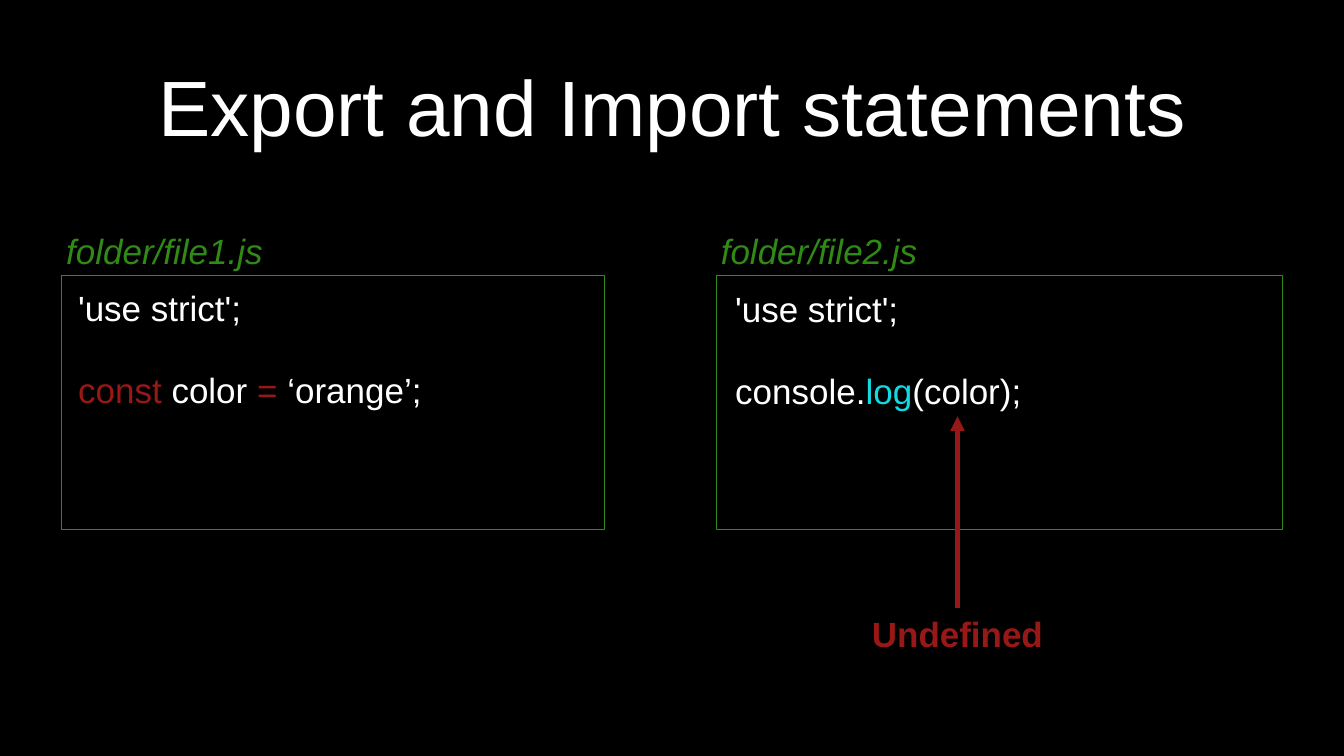
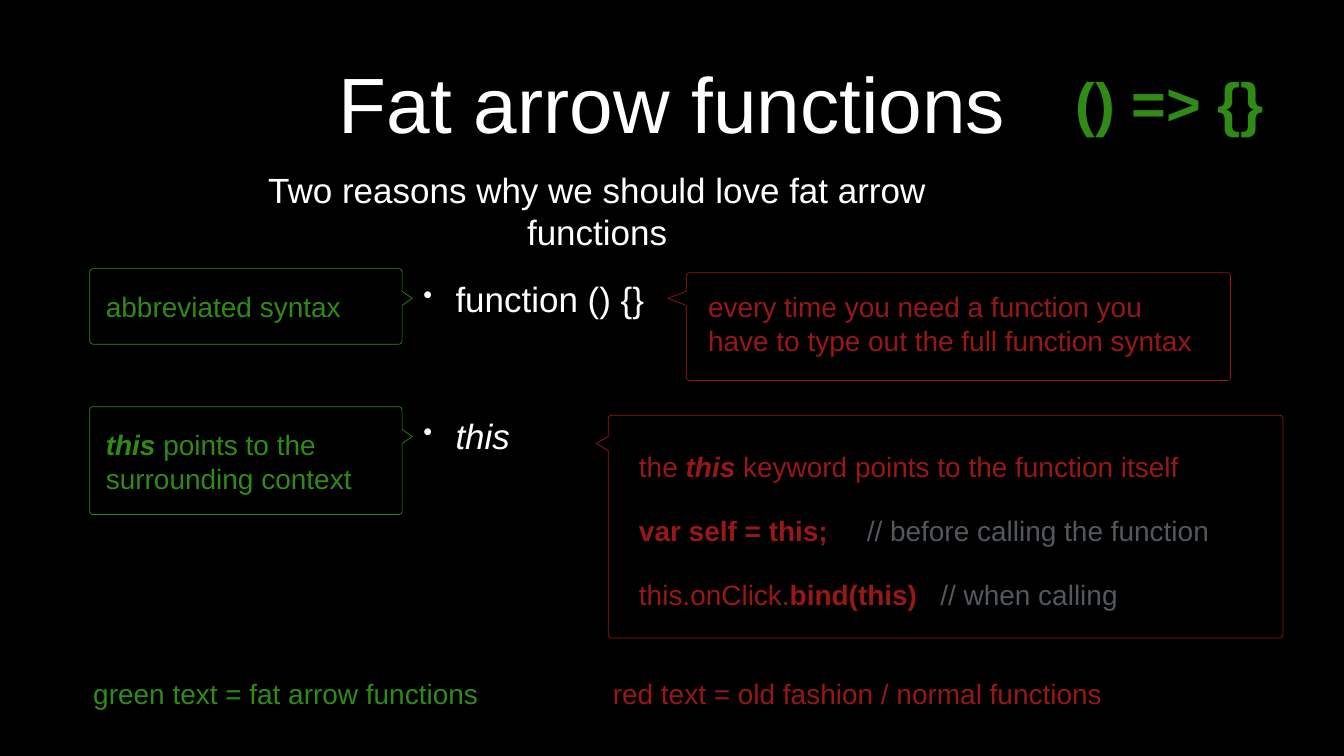
from math import cos, pi, sin

from lxml import etree
from pptx import Presentation
from pptx.dml.color import RGBColor
from pptx.enum.shapes import MSO_CONNECTOR as Connector, MSO_SHAPE as Preset
from pptx.enum.text import MSO_ANCHOR as Anchor, PP_ALIGN as Align
from pptx.oxml.ns import qn
from pptx.util import Inches, Pt

BLACK = RGBColor(0x00, 0x00, 0x00)
WHITE = RGBColor(0xFF, 0xFF, 0xFF)
GREEN = RGBColor(0x30, 0x8B, 0x16)
RED = RGBColor(0x97, 0x18, 0x17)
CYAN = RGBColor(0x11, 0xDB, 0xE2)
GRAY = RGBColor(0x53, 0x58, 0x5F)

FONT = "Arial"
TITLE, LARGE, SMALL = 112, 50, 40
INSET = 0.08
BOLD = {"bold": True}
ITALIC = {"italic": True}
BOLD_ITALIC = {"bold": True, "italic": True}
CORNER = 0.07
TIP_HALF = 0.14
BLANK_LINE = Pt(57.5)


# ---- shared parts ----

def add_slide(presentation):
    slide = presentation.slides.add_slide(presentation.slide_layouts[6])
    fill = slide.background.fill
    fill.solid()
    fill.fore_color.rgb = BLACK
    return slide


def add_text(slide, box, paragraphs, size, color=WHITE, align=Align.LEFT,
             wrap=True, left_inset=INSET, right_inset=INSET):
    """Each paragraph is a list of (text, color or None, font attributes)."""
    shape = slide.shapes.add_textbox(*map(Inches, box))
    frame = shape.text_frame
    settings = {
        "word_wrap": wrap, "vertical_anchor": Anchor.MIDDLE,
        "margin_left": Inches(left_inset), "margin_right": Inches(right_inset),
        "margin_top": Inches(INSET), "margin_bottom": Inches(INSET),
    }
    for name, value in settings.items():
        setattr(frame, name, value)
    for index, runs in enumerate(paragraphs):
        paragraph = frame.add_paragraph() if index else frame.paragraphs[0]
        paragraph.alignment = align
        if index:
            paragraph.space_before = BLANK_LINE
        for text, run_color, attributes in runs:
            run = paragraph.add_run()
            run.text = text
            values = {"name": FONT, "size": Pt(size), **attributes}
            for name, value in values.items():
                setattr(run.font, name, value)
            run.font.color.rgb = run_color or color
    return shape


def add_line_of_text(slide, box, text, size, color=WHITE, attributes=None, **layout):
    runs = [(text, color, attributes or {})]
    return add_text(slide, box, [runs], size, **layout)


def add_title(slide, box, text):
    add_line_of_text(slide, box, text, TITLE, align=Align.CENTER)


def style_outline(shape, color):
    shape.shadow.inherit = False
    shape.fill.solid()
    shape.fill.fore_color.rgb = BLACK
    shape.line.color.rgb = color
    shape.line.width = Pt(1)


# ---- export and import slide ----

def add_code_panel(slide, left, top, width, height, file_name, code, code_offset):
    panel = slide.shapes.add_shape(
        Preset.RECTANGLE, *map(Inches, (left, top, width, height)))
    style_outline(panel, GREEN)
    add_line_of_text(slide, (left - 0.01, top - 1, 4.11, 0.99), file_name, LARGE,
                     GREEN, ITALIC, align=Align.CENTER, wrap=False)
    inset_x, inset_y = code_offset
    code_box = (left + inset_x, top + inset_y, width - 2 * inset_x, 2.66)
    add_text(slide, code_box, code, LARGE)


def add_error_arrow(slide, x, top, bottom, label):
    arrow = slide.shapes.add_connector(
        Connector.STRAIGHT, *map(Inches, (x, bottom, x, top)))
    arrow.line.color.rgb = RED
    arrow.line.width = Pt(7)
    line = arrow.line._get_or_add_ln()
    etree.SubElement(line, qn("a:tailEnd"), type="triangle")
    etree.SubElement(arrow._element.spPr, qn("a:effectLst"))
    add_line_of_text(slide, (x - 1.78, bottom, 3.56, 0.99), label, LARGE, RED, BOLD,
                     align=Align.CENTER, wrap=False)


def build_export_slide(presentation):
    slide = add_slide(presentation)
    add_title(slide, (2.88, 0.42, 20.91, 3.32), "Export and Import statements")
    strict = [("'use strict';", None, {})]
    constant = [("const", RED, {}), (" color ", None, {}),
                ("=", RED, {}), (" ‘orange’;", None, {})]
    log = [("console.", None, {}), ("log", CYAN, {}), ("(color);", None, {})]
    add_code_panel(slide, 1.22, 5.47, 10.78, 5.04, "folder/file1.js",
                   [strict, constant], (0.25, 0.12))
    add_code_panel(slide, 14.21, 5.47, 11.23, 5.04, "folder/file2.js",
                   [strict, log], (0.3, 0.14))
    add_error_arrow(slide, 19, 8.26, 12.07, "Undefined")


# ---- fat arrow slide ----

def add_callout(slide, left, top, width, height, color, tip):
    """Rounded box with a pointer; tip is its (x, y) relative to the box."""
    right, bottom = left + width, top + height
    corners = [(left + CORNER, top + CORNER, 180), (right - CORNER, top + CORNER, 270),
               (right - CORNER, bottom - CORNER, 0), (left + CORNER, bottom - CORNER, 90)]
    arcs = [[(x + CORNER * cos(angle * pi / 180), y + CORNER * sin(angle * pi / 180))
             for angle in range(start, start + 91, 15)]
            for x, y, start in corners]
    tip_x, tip_y = left + tip[0], top + tip[1]
    if tip[0] > 0:
        arcs.insert(2, [(right, tip_y - TIP_HALF), (tip_x, tip_y),
                        (right, tip_y + TIP_HALF)])
    else:
        arcs.append([(left, tip_y + TIP_HALF), (tip_x, tip_y),
                     (left, tip_y - TIP_HALF)])
    points = [(Inches(x), Inches(y)) for arc in arcs for x, y in arc]
    builder = slide.shapes.build_freeform(*points[0])
    builder.add_line_segments(points[1:], close=True)
    style_outline(builder.convert_to_shape(), color)


def add_bullet(slide, left, top, text, attributes):
    shape = add_line_of_text(slide, (left, top, 5.43, 0.99), text, LARGE,
                             attributes=attributes)
    properties = shape.text_frame.paragraphs[0]._p.get_or_add_pPr()
    indent = Inches(0.64)
    properties.set("marL", str(indent))
    properties.set("indent", str(-indent))
    etree.SubElement(properties, qn("a:buSzPct"), val="75000")
    etree.SubElement(properties, qn("a:buChar"), char="•")


def add_commented_code(slide, box, code, comment, comment_offset):
    runs = code + [("\t" + comment, GRAY, {})]
    shape = add_text(slide, box, [runs], SMALL, RED)
    properties = shape.text_frame.paragraphs[0]._p.get_or_add_pPr()
    tabs = etree.SubElement(properties, qn("a:tabLst"))
    etree.SubElement(tabs, qn("a:tab"), pos=str(Inches(comment_offset)), algn="l")


def add_benefit(slide, left, top, height, text_height, runs):
    add_callout(slide, left, top, 6.2, height, GREEN, (6.4, 0.59))
    add_text(slide, (left + 0.24, top + 0.34, 5.5, text_height), [runs], SMALL, GREEN)


def add_syntax_drawback(slide, left, top):
    add_callout(slide, left, top, 10.8, 2.14, RED, (-0.36, 0.51))
    add_line_of_text(
        slide, (left + 0.35, top + 0.26, 9.78, 1.49),
        "every time you need a function you have to type out the full function syntax",
        SMALL, RED)


def add_this_drawback(slide, left, top):
    add_callout(slide, left, top, 13.39, 4.42, RED, (-0.24, 0.56))
    text_left = left + 0.53
    keyword = [("the ", None, {}), ("this", None, BOLD_ITALIC),
               (" keyword points to the function itself", None, {})]
    add_text(slide, (text_left, top + 0.61, 11.15, 0.82), [keyword], SMALL, RED)
    add_commented_code(slide, (text_left, top + 1.87, 11.71, 0.82),
                       [("var self = this;", None, BOLD)],
                       "// before calling the function", 4.52)
    add_commented_code(slide, (text_left, top + 3.14, 12.67, 0.82),
                       [("this.onClick.", None, {}), ("bind(this)", None, BOLD)],
                       "// when calling", 5.98)


def add_legend(slide, top):
    add_line_of_text(slide, (1.77, top, 8.36, 0.82),
                     "green text = fat arrow functions", SMALL, GREEN)
    add_line_of_text(slide, (12.08, top, 10.61, 0.82),
                     "red text = old fashion / normal functions", SMALL, RED)


def build_fat_arrow_slide(presentation):
    slide = add_slide(presentation)
    # Heading
    add_title(slide, (4.8, 0.37, 17.07, 3.32), "Fat arrow functions")
    add_line_of_text(slide, (20.46, 1.23, 5.5, 1.57), "() => {}", 85, GREEN, BOLD,
                     align=Align.CENTER)
    add_line_of_text(slide, (5.24, 3.69, 16.18, 0.99),
                     "Two reasons why we should love fat arrow functions", LARGE,
                     align=Align.CENTER, left_inset=0, right_inset=2.96)
    # Compared features
    add_bullet(slide, 8.32, 5.42, "function () {}", {})
    add_bullet(slide, 8.32, 8.15, "this", ITALIC)
    # Explanations
    add_syntax_drawback(slide, 13.62, 5.41)
    add_this_drawback(slide, 12.07, 8.24)
    add_benefit(slide, 1.78, 5.33, 1.5, 0.82, [("abbreviated syntax", None, {})])
    add_benefit(slide, 1.78, 8.07, 2.14, 1.49,
                [("this", None, BOLD_ITALIC),
                 (" points to the surrounding context", None, {})])
    add_legend(slide, 13.35)


def main():
    presentation = Presentation()
    presentation.slide_width = Inches(26.67)
    presentation.slide_height = Inches(15)
    build_export_slide(presentation)
    build_fat_arrow_slide(presentation)
    presentation.save("out.pptx")


if __name__ == "__main__":
    main()
